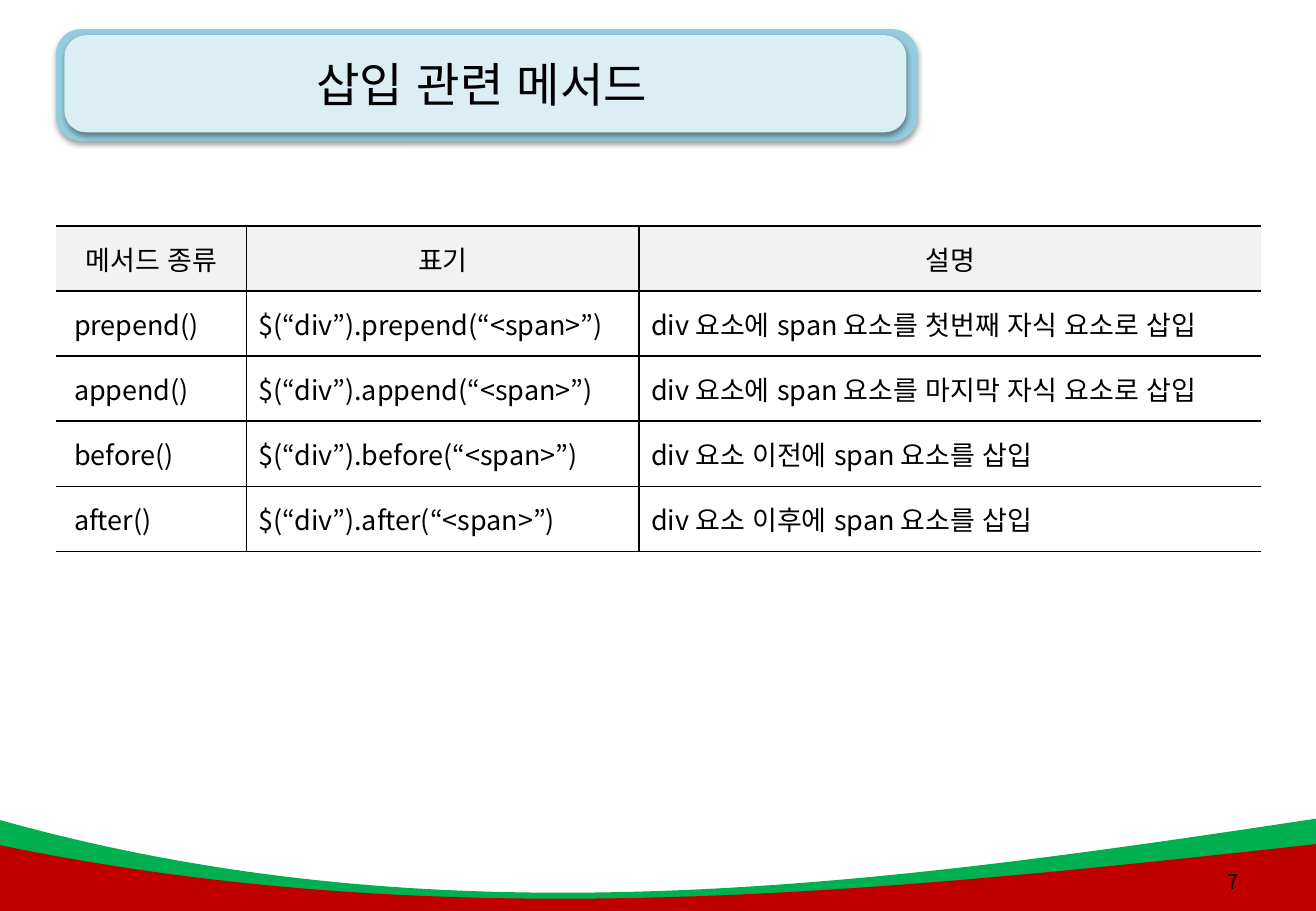
import pptx
import pptx.dml.color
import pptx.enum.lang
import pptx.enum.shapes
import pptx.enum.text
import pptx.oxml
import pptx.oxml.ns
import pptx.util
from pptx.util import Inches

RGBColor = pptx.dml.color.RGBColor
BLACK = RGBColor(0x00, 0x00, 0x00)
GREEN = RGBColor(0x00, 0xB0, 0x50)
RED = RGBColor(0xC0, 0x00, 0x00)
BANNER_EDGE = RGBColor(0x93, 0xCD, 0xDD)
BANNER_FACE = RGBColor(0xDB, 0xEE, 0xF4)
HEADER_GRAY = RGBColor(0xF2, 0xF2, 0xF2)

FONT = "Noto Sans CJK KR"
NAMESPACE = pptx.oxml.ns.nsdecls("a")
ALIGN = pptx.enum.text.PP_ALIGN
MIDDLE = pptx.enum.text.MSO_ANCHOR.MIDDLE
SLIDE_WIDTH, SLIDE_HEIGHT = 10.83, 7.5
COLUMN_WIDTHS = (1.57, 3.23, 5.12)
METHOD_ROWS = (
    ("메서드 종류", "표기", "설명"),
    (" prepend()", "$(“div”).prepend(“<span>”)", "div 요소에 span 요소를 첫번째 자식 요소로 삽입"),
    (" append()", "$(“div”).append(“<span>”)", "div 요소에 span 요소를 마지막 자식 요소로 삽입"),
    (" before()", "$(“div”).before(“<span>”)", "div 요소 이전에 span 요소를 삽입"),
    (" after()", "$(“div”).after(“<span>”)", "div 요소 이후에 span 요소를 삽입"),
)


def write_text(text_frame, text, size, alignment):
    text_frame.text = text
    paragraph = text_frame.paragraphs[0]
    paragraph.alignment = alignment
    for run in paragraph.runs:
        run.font.size = pptx.util.Pt(size)
        run.font.name = FONT
        run.font.language_id = pptx.enum.lang.MSO_LANGUAGE_ID.KOREAN
        run.font.color.rgb = BLACK
        run.font._element.append(
            pptx.oxml.parse_xml(f'<a:ea {NAMESPACE} typeface="{FONT}"/>'))


def place(shape, left, top, width, height):
    shape.left, shape.top = Inches(left), Inches(top)
    shape.width, shape.height = Inches(width), Inches(height)


def paint(shape, color):
    shape.fill.solid()
    shape.fill.fore_color.rgb = color
    shape.line.fill.background()
    shape.shadow.inherit = False


def add_wave(slide, left, top, right, bottom, dips, color):
    """Fill the area under a Bezier curve whose controls lie at the dips."""
    builder = slide.shapes.build_freeform(Inches(left), Inches(top))
    corners = ((right, top), (right, bottom), (left, bottom))
    builder.add_line_segments([(Inches(x), Inches(y)) for x, y in corners], close=True)
    shape = builder.convert_to_shape()
    # Bend the top edge
    top_edge = next(shape.element.iter(pptx.oxml.ns.qn("a:lnTo")))
    controls = ((3.64, dips[0]), (7.19, dips[1]), (right, top))
    points = "".join(
        f'<a:pt x="{Inches(x) - Inches(left)}" y="{Inches(y) - Inches(top)}"/>'
        for x, y in controls)
    curve = pptx.oxml.parse_xml(f'<a:cubicBezTo {NAMESPACE}>{points}</a:cubicBezTo>')
    top_edge.getparent().replace(top_edge, curve)
    paint(shape, color)


def add_banner_layer(slide, left, top, width, height, color):
    shape = slide.shapes.add_shape(
        pptx.enum.shapes.MSO_SHAPE.ROUNDED_RECTANGLE,
        Inches(left), Inches(top), Inches(width), Inches(height))
    shape.adjustments[0] = 0.225
    paint(shape, color)
    effects = shape.element.spPr.find(pptx.oxml.ns.qn("a:effectLst"))
    effects.append(pptx.oxml.parse_xml(
        f'<a:outerShdw {NAMESPACE} blurRad="{pptx.util.Pt(3.1)}" '
        f'dist="{pptx.util.Pt(1.6)}" dir="5400000" rotWithShape="0">'
        '<a:srgbClr val="000000"><a:alpha val="38000"/></a:srgbClr></a:outerShdw>'))


def add_title_banner(slide, left, top, width, height):
    add_banner_layer(slide, left, top, width, height, BANNER_EDGE)
    add_banner_layer(slide, left + 0.07, top + 0.05, width - 0.16, height - 0.12, BANNER_FACE)
    title = slide.shapes.title
    place(title, left, top - 0.02, width - 0.08, height + 0.02)
    write_text(title.text_frame, "삽입 관련 메서드", 28, ALIGN.CENTER)
    title.text_frame.vertical_anchor = MIDDLE
    # Bring the title in front of the banner
    title.element.getparent().append(title.element)


def add_borders(cell, ruled_sides):
    properties = cell._tc.get_or_add_tcPr()
    for side in "LRTB":
        if side in ruled_sides:
            fill = f'<a:solidFill><a:srgbClr val="{BLACK}"/></a:solidFill>'
        else:
            fill = "<a:noFill/>"
        properties.append(pptx.oxml.parse_xml(
            f'<a:ln{side} {NAMESPACE} w="{pptx.util.Pt(1)}">{fill}</a:ln{side}>'))


def add_method_table(slide, left, top, width, height):
    table = slide.shapes.add_table(
        len(METHOD_ROWS), len(COLUMN_WIDTHS),
        Inches(left), Inches(top), Inches(width), Inches(height)).table
    table.first_row = table.horz_banding = False
    for column, column_width in zip(table.columns, COLUMN_WIDTHS):
        column.width = Inches(column_width)
    for row_index, texts in enumerate(METHOD_ROWS):
        table.rows[row_index].height = Inches(height / len(METHOD_ROWS))
        is_header = row_index == 0
        for column_index, text in enumerate(texts):
            cell = table.cell(row_index, column_index)
            write_text(cell.text_frame, text, 16, ALIGN.CENTER if is_header else ALIGN.LEFT)
            cell.vertical_anchor = MIDDLE
            # Horizontal rules everywhere, vertical rules only between columns
            add_borders(cell, ("RTB", "LRTB", "LTB")[column_index])
            if is_header:
                cell.fill.solid()
                cell.fill.fore_color.rgb = HEADER_GRAY
            else:
                cell.fill.background()


def add_page_number(slide, left, top, width, height):
    box = slide.shapes.add_textbox(Inches(left), Inches(top), Inches(width), Inches(height))
    box.text_frame.word_wrap = True
    box.text_frame.vertical_anchor = MIDDLE
    write_text(box.text_frame, "7", 12, ALIGN.RIGHT)


def main():
    presentation = pptx.Presentation()
    presentation.slide_width = Inches(SLIDE_WIDTH)
    presentation.slide_height = Inches(SLIDE_HEIGHT)
    slide = presentation.slides.add_slide(presentation.slide_layouts[5])

    # Footer waves
    add_wave(slide, -0.04, 6.74, SLIDE_WIDTH, SLIDE_HEIGHT, (7.78, 7.29), GREEN)
    add_wave(slide, -0.04, 6.95, SLIDE_WIDTH, SLIDE_HEIGHT + 0.01, (7.72, 7.35), RED)
    # Title, table and page number
    add_title_banner(slide, 0.46, 0.24, 7.09, 0.92)
    add_method_table(slide, 0.46, 1.86, sum(COLUMN_WIDTHS), 2.68)
    add_page_number(slide, 9.68, 7.06, 0.61, 0.4)

    presentation.save("out.pptx")


if __name__ == "__main__":
    main()
